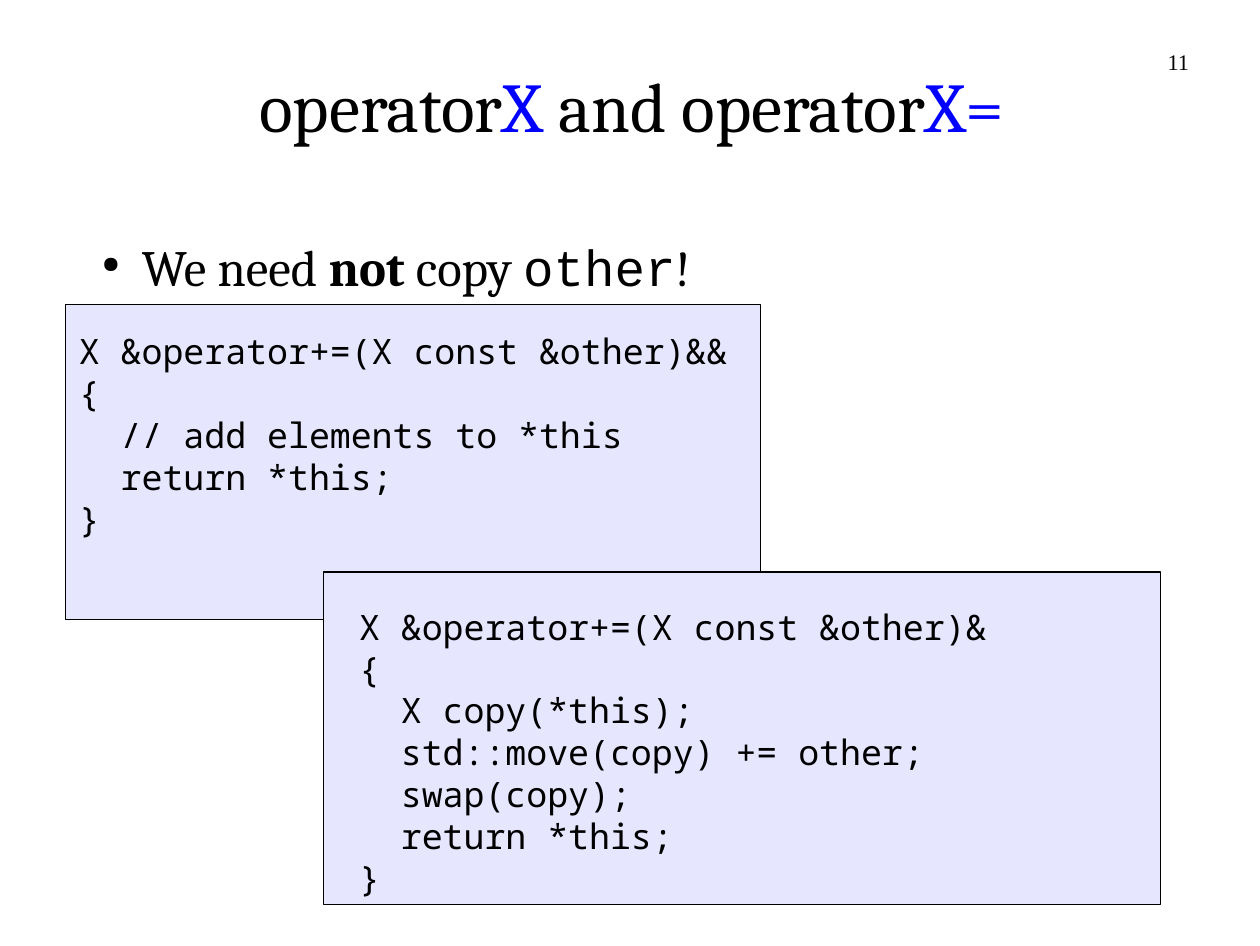
"""Build the slide on operatorX and operatorX= with two overlapping code panels."""
from lxml.etree import SubElement
from pptx import Presentation
from pptx.dml.color import RGBColor
from pptx.enum.shapes import MSO_SHAPE
from pptx.enum.text import MSO_ANCHOR, PP_ALIGN
from pptx.oxml.ns import qn
from pptx.util import Inches, Pt

TITLE = [("operator", "title"), ("X", "accent"), (" and operator", "title"), ("X=", "accent")]
POINT = [("We need ", "body"), ("not", "strong"), (" copy ", "body"),
         ("other", "inline_code"), ("!", "body")]
PAGE_NUMBER = [("11", "number")]
CODE_PANELS = [
    {"panel": (0.57, 2.66, 6.08, 2.76), "text": (0.69, 2.88, 5.69, 2.51), "lines": [
        "X &operator+=(X const &other)&&",
        "{",
        "  // add elements to *this",
        "  return *this;",
        "}"]},
    {"panel": (2.83, 5, 7.32, 2.91), "text": (3.14, 5.29, 5.68, 2.51), "lines": [
        "X &operator+=(X const &other)&",
        "{",
        "  X copy(*this);",
        "  std::move(copy) += other;",
        "  swap(copy);",
        "  return *this;",
        "}"]},
]

BLACK = RGBColor(0, 0, 0)
THEME = {
    "panel": RGBColor(0xE6, 0xE6, 0xFF),
    "line": BLACK,
    "title": {"name": "Cambria", "size": Pt(44), "color": BLACK},
    "accent": {"name": "Cambria", "size": Pt(44), "color": RGBColor(0, 0, 0xFF)},
    "body": {"name": "Cambria", "size": Pt(32), "color": BLACK},
    "strong": {"name": "Cambria", "size": Pt(32), "color": BLACK, "bold": True},
    "inline_code": {"name": "Courier New", "size": Pt(32), "color": BLACK},
    "code": {"name": "Noto Sans Mono", "size": Pt(22), "color": BLACK},
    "number": {"name": "Times New Roman", "size": Pt(14), "color": BLACK},
}


def set_all(target, values):
    for name, value in values.items():
        setattr(target, name, value)


def place(shape, area):
    set_all(shape, dict(zip(("left", "top", "width", "height"), map(Inches, area))))


def write(shape, paragraphs, align=PP_ALIGN.LEFT, anchor=MSO_ANCHOR.TOP, wrap=True):
    frame = shape.text_frame
    set_all(frame, {"margin_left": 0, "margin_top": 0, "margin_right": 0, "margin_bottom": 0,
                    "vertical_anchor": anchor, "word_wrap": wrap})
    for index, spans in enumerate(paragraphs):
        para = frame.add_paragraph() if index else frame.paragraphs[0]
        para.alignment = align
        for text, style in spans:
            span = para.add_run()
            span.text = text
            values = dict(THEME[style])
            span.font.color.rgb = values.pop("color")
            set_all(span.font, values)


def add_text(page, area, paragraphs, **layout):
    box = page.shapes.add_textbox(*map(Inches, area))
    write(box, paragraphs, **layout)
    return box


def add_panel(page, area):
    panel = page.shapes.add_shape(MSO_SHAPE.RECTANGLE, *map(Inches, area))
    panel.shadow.inherit = False
    panel.fill.solid()
    panel.fill.fore_color.rgb = THEME["panel"]
    panel.line.color.rgb = THEME["line"]
    panel.line.width = Pt(0)


def add_bullet(para):
    para.space_after = Pt(14.1)
    properties = para._p.get_or_add_pPr()
    properties.set("marL", str(Inches(0.47)))
    properties.set("indent", str(Inches(-0.35)))
    color = SubElement(properties, qn("a:buClr"))
    SubElement(color, qn("a:srgbClr")).set("val", str(BLACK))
    SubElement(properties, qn("a:buSzPct")).set("val", "45000")
    SubElement(properties, qn("a:buChar")).set("char", "●")


def main():
    deck = Presentation()
    set_all(deck, {"slide_width": Inches(11.02), "slide_height": Inches(8.27)})
    page = deck.slides.add_slide(deck.slide_layouts[5])

    for item in CODE_PANELS:
        add_panel(page, item["panel"])

    title = page.shapes.title
    place(title, (0.82, 0.22, 9.41, 1.38))
    write(title, [TITLE], align=PP_ALIGN.CENTER, anchor=MSO_ANCHOR.MIDDLE)

    body = add_text(page, (0.77, 2.06, 9.41, 5.21), [POINT])
    add_bullet(body.text_frame.paragraphs[0])

    for item in CODE_PANELS:
        add_text(page, item["text"], [[(line, "code")] for line in item["lines"]], wrap=False)

    add_text(page, (7.83, 0.42, 2.57, 0.57), [PAGE_NUMBER], align=PP_ALIGN.RIGHT)
    deck.save("out.pptx")


if __name__ == "__main__":
    main()
